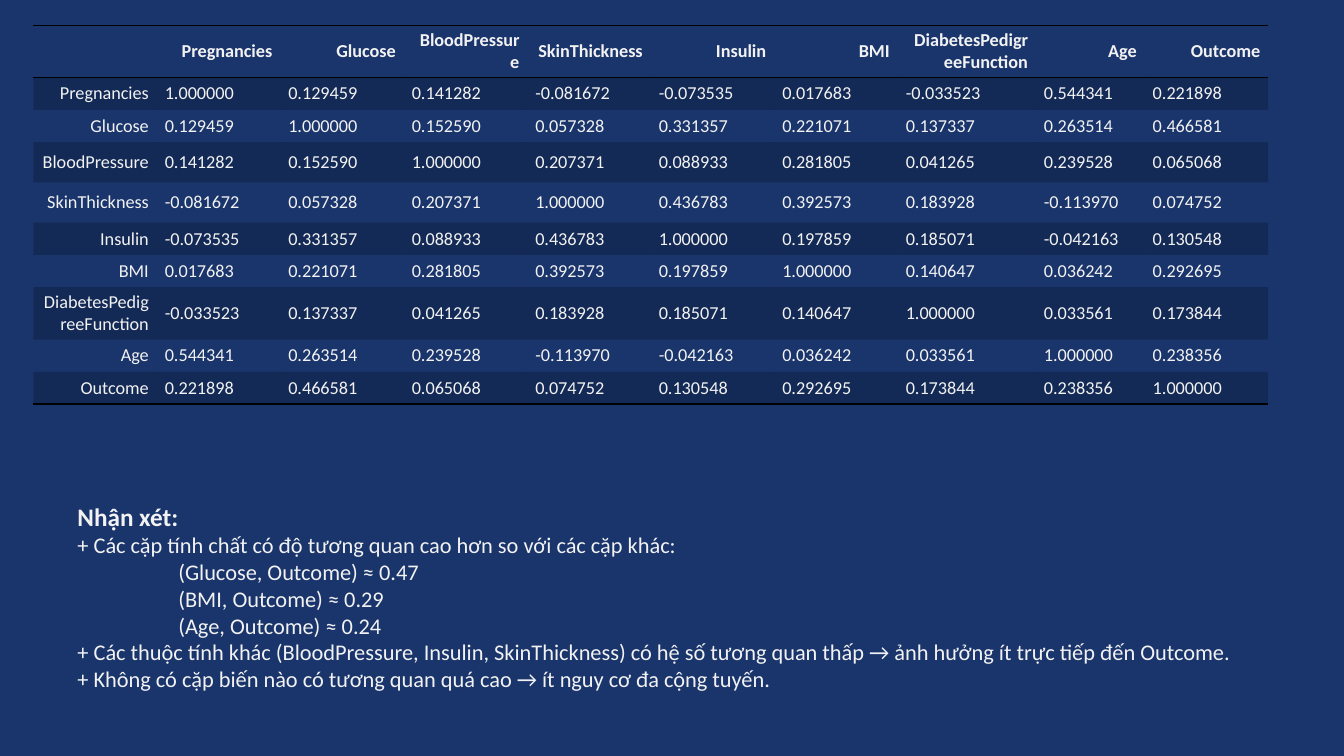
from dataclasses import dataclass

from lxml import etree
from pptx import Presentation, util as u
from pptx.dml.color import RGBColor
from pptx.enum import text
from pptx.oxml import ns


@dataclass
class Theme:
    back: str = "1A356C"
    ink: str = "F2F2F2"
    dark: str = "000000"
    font: str = "Calibri"
    cell: int = 13
    body: int = 16
    head: int = 18
    plain: str = "{2D5ABB26-0587-4C30-8999-92F81FD0307C}"


NAMES = ["Pregnancies", "Glucose", "BloodPressure", "SkinThickness", "Insulin",
         "BMI", "DiabetesPedigreeFunction", "Age", "Outcome"]

# Correlations below the diagonal; the matrix is symmetric
LOWER = [
    [],
    [0.129459],
    [0.141282, 0.152590],
    [-0.081672, 0.057328, 0.207371],
    [-0.073535, 0.331357, 0.088933, 0.436783],
    [0.017683, 0.221071, 0.281805, 0.392573, 0.197859],
    [-0.033523, 0.137337, 0.041265, 0.183928, 0.185071, 0.140647],
    [0.544341, 0.263514, 0.239528, -0.113970, -0.042163, 0.036242, 0.033561],
    [0.221898, 0.466581, 0.065068, 0.074752, 0.130548, 0.292695, 0.173844,
     0.238356],
]

# Each remark: text, indent in inches
NOTES = [
    ("Nhận xét:", 0),
    ("+ Các cặp tính chất có độ tương quan cao hơn so với các cặp khác:", 0),
    ("(Glucose, Outcome) ≈ 0.47", 1),
    ("(BMI, Outcome) ≈ 0.29", 1),
    ("(Age, Outcome) ≈ 0.24", 1),
    ("+ Các thuộc tính khác (BloodPressure, Insulin, SkinThickness) có hệ số "
     "tương quan thấp → ảnh hưởng ít trực tiếp đến Outcome.", 0),
    ("+ Không có cặp biến nào có tương quan quá cao → ít nguy cơ đa cộng tuyến.", 0),
]


def value(row, col):
    return 1 if row == col else LOWER[max(row, col)][min(row, col)]


class Deck:
    def __init__(self, theme):
        self.theme = theme
        self.deck = Presentation()
        self.deck.slide_width = u.Inches(13.33)
        self.deck.slide_height = u.Inches(7.5)
        self.slide = self.deck.slides.add_slide(self.deck.slide_layouts[6])
        fill = self.slide.background.fill
        fill.solid()
        fill.fore_color.rgb = RGBColor.from_string(theme.back)

    def style(self, par, size, bold=False):
        for run in par.runs:
            font = run.font
            font.name, font.size, font.bold = self.theme.font, u.Pt(size), bold
            font.color.rgb = RGBColor.from_string(self.theme.ink)

    def rule(self, cell, tags):
        props = cell._tc.get_or_add_tcPr()
        for spot, tag in enumerate(tags):
            line = etree.Element(ns.qn(tag), w=str(u.Pt(1)))
            fill = etree.SubElement(line, ns.qn("a:solidFill"))
            etree.SubElement(fill, ns.qn("a:srgbClr"), val=self.theme.dark)
            props.insert(spot, line)

    def shade(self, cell, band):
        if not band:
            cell.fill.background()
            return
        cell.fill.solid()
        cell.fill.fore_color.rgb = RGBColor.from_string(self.theme.dark)
        tint = cell._tc.tcPr.find(".//" + ns.qn("a:srgbClr"))
        etree.SubElement(tint, ns.qn("a:alpha"), val="20000")

    def table(self, left, top, cols, rows, grid):
        box = [u.Inches(n) for n in (left, top, sum(cols), sum(rows))]
        table = self.slide.shapes.add_table(len(rows), len(cols), *box).table
        table._tbl.tblPr.find(ns.qn("a:tableStyleId")).text = self.theme.plain
        for col, size in zip(table.columns, cols):
            col.width = u.Inches(size)
        for row, size in zip(table.rows, rows):
            row.height = u.Inches(size)
        last = len(rows) - 1
        for r, line in enumerate(grid):
            for c, word in enumerate(line):
                cell = table.cell(r, c)
                cell.margin_left = cell.margin_right = u.Inches(0.08)
                cell.margin_top = cell.margin_bottom = u.Inches(0.04)
                cell.vertical_anchor = text.MSO_ANCHOR.MIDDLE
                par = cell.text_frame.paragraphs[0]
                par.text = word
                if r == 0 or c == 0:
                    par.alignment = text.PP_ALIGN.RIGHT
                self.style(par, self.theme.cell, r == 0)
                self.shade(cell, r % 2 == 1)
                if r == 0:
                    self.rule(cell, ["a:lnT", "a:lnB"])
                elif r == last:
                    self.rule(cell, ["a:lnB"])

    def notes(self, left, top, width, height, lines):
        box = [u.Inches(n) for n in (left, top, width, height)]
        frame = self.slide.shapes.add_textbox(*box).text_frame
        frame.word_wrap = True
        frame.auto_size = text.MSO_AUTO_SIZE.SHAPE_TO_FIT_TEXT
        for n, (words, indent) in enumerate(lines):
            par = frame.add_paragraph() if n else frame.paragraphs[0]
            par.text = words
            if indent:
                par._p.get_or_add_pPr().set("marL", str(u.Inches(indent)))
            self.style(par, self.theme.body if n else self.theme.head, n == 0)


def main():
    deck = Deck(Theme())

    # Correlation matrix
    span = range(len(NAMES))
    grid = [[""] + NAMES]
    grid += [[NAMES[r]] + [f"{value(r, c):.6f}" for c in span] for r in span]
    wide, slim = 1.37, 1.08
    base = (12.25 - wide - slim) / 8
    cols = [base] * 7 + [wide, slim, base]
    tall = (0, 3, 4, 7)
    rows = [0.4 if r in tall else 0.32 for r in range(len(grid))]
    deck.table(0.33, 0.25, cols, rows, grid)

    # Remarks
    deck.notes(0.67, 4.92, 11.75, 2.29, NOTES)

    deck.deck.save("out.pptx")


if __name__ == "__main__":
    main()
